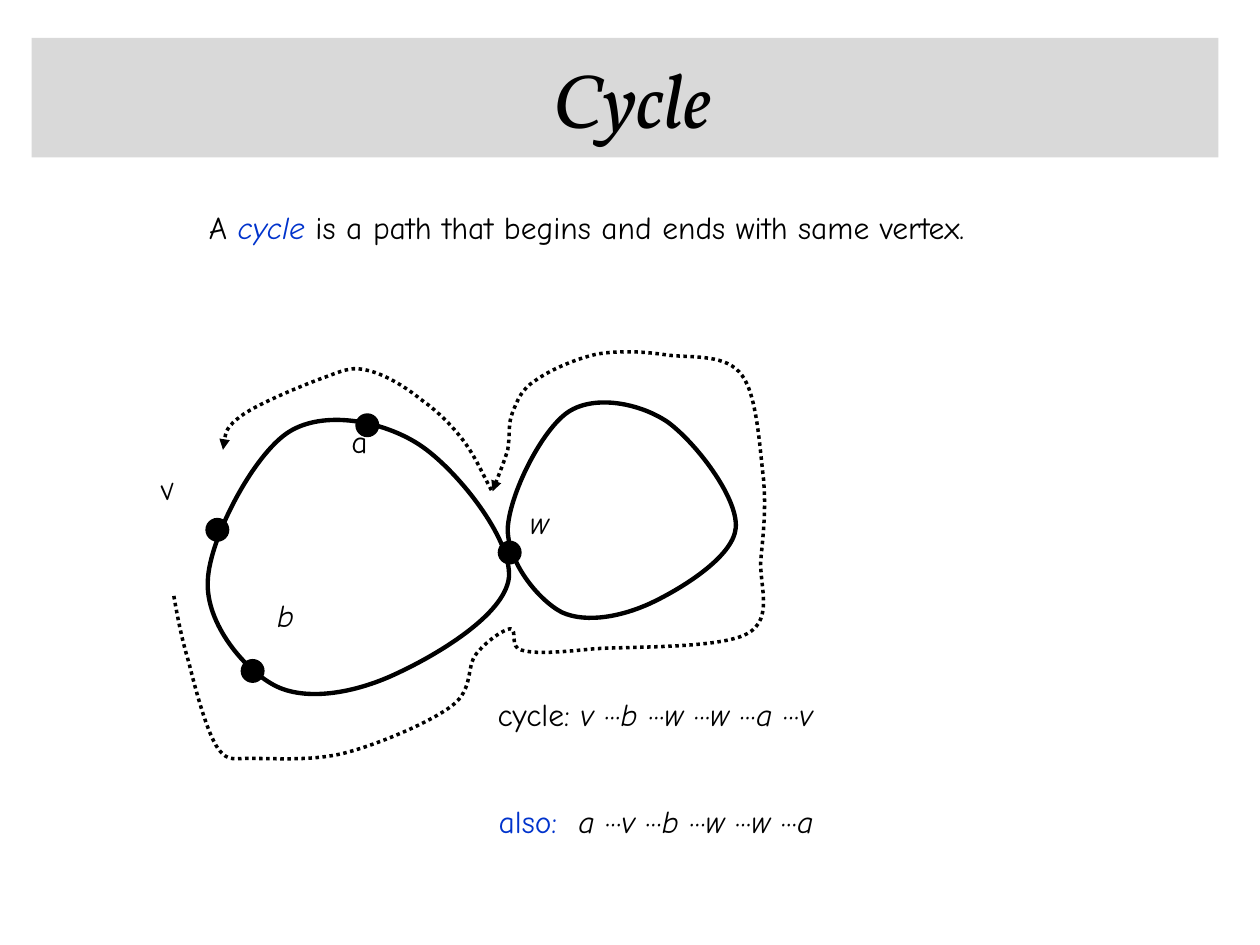
from dataclasses import dataclass

from lxml.etree import SubElement
from pptx import Presentation
from pptx.dml.color import RGBColor
from pptx.enum.dml import MSO_LINE
from pptx.enum.shapes import MSO_SHAPE
from pptx.enum.text import MSO_ANCHOR, PP_ALIGN
from pptx.oxml.ns import qn
from pptx.util import Pt

PX = 9144


@dataclass(frozen=True)
class Theme:
    """Colours, fonts and sizes of the slide."""
    ink: RGBColor = RGBColor(0, 0, 0)
    accent: RGBColor = RGBColor(0x00, 0x33, 0xCC)
    band: RGBColor = RGBColor(0xD9, 0xD9, 0xD9)
    title_font: str = "Vollkorn"
    body_font: str = "Comic Neue"
    title_size: int = 44
    body_size: int = 18
    edge: float = 2.5
    route: float = 2


THEME = Theme()

LOOPS = (
    [(65, 261),
     (66, 228), (101, 161), (129, 143), (157, 125), (204, 134), (233, 153),
     (262, 172), (306, 227), (304, 258), (301, 288), (246, 320), (216, 334),
     (185, 349), (146, 357), (120, 345), (95, 333), (63, 295), (65, 261)],
    [(303, 220),
     (304, 193), (330, 141), (351, 127), (372, 113), (408, 120), (430, 135),
     (452, 151), (486, 195), (484, 219), (482, 242), (441, 267), (418, 278),
     (395, 289), (366, 295), (346, 286), (327, 276), (303, 246), (303, 220)],
)
ROUTES = (
    [(290, 189),
     (283, 176), (277, 162), (268, 150), (259, 138), (247, 126), (234, 117),
     (222, 107), (205, 97), (192, 94), (180, 91), (175, 93), (159, 99),
     (142, 105), (106, 120), (93, 129), (79, 139), (78, 148), (77, 157)],
    [(38, 273),
     (41, 290), (44, 306), (50, 326), (55, 346), (64, 381), (73, 394),
     (82, 406), (86, 401), (104, 402), (121, 402), (151, 404), (176, 397),
     (202, 390), (242, 373), (259, 360), (276, 347), (270, 329), (278, 319),
     (286, 309), (299, 300), (305, 299), (311, 299), (304, 314), (314, 316),
     (325, 319), (341, 318), (371, 315), (400, 313), (471, 315), (493, 303),
     (515, 291), (502, 263), (504, 243), (506, 222), (508, 204), (506, 180),
     (503, 156), (501, 114), (489, 98), (477, 81), (451, 84), (431, 82),
     (412, 79), (392, 78), (374, 81), (356, 85), (336, 94), (325, 102),
     (314, 109), (311, 117), (307, 127), (303, 136), (305, 146), (303, 157),
     (300, 167), (295, 179), (291, 190)],
)
DOT = 19
DOTS = ((295, 229), (63, 211), (182, 128), (91, 323))
LABELS = (
    ("w", (311, 194, 37, 40), True, 0),
    ("v", (17, 167, 32, 40), True, -13.5),
    ("a", (169, 130, 33, 40), False, 0),
    ("b", (110, 268, 35, 40), True, 0),
)


def emu(*lengths):
    """Turn px lengths into EMU."""
    return [n * PX for n in lengths]


def add_text(slide, box, runs, wrap=True):
    """Add one line of text made of (text, colour, italic) runs."""
    sp = slide.shapes.add_textbox(*emu(*box))
    tf = sp.text_frame
    tf.word_wrap = wrap
    p = tf.paragraphs[0]
    p.font.name = THEME.body_font
    p.font.size = Pt(THEME.body_size)
    for text, color, italic in runs:
        r = p.add_run()
        r.text = text
        r.font.color.rgb = color
        r.font.italic = italic
    return sp


def add_block(slide, kind, box, color):
    """Add a flat filled shape without an outline."""
    sp = slide.shapes.add_shape(kind, *emu(*box))
    sp.shadow.inherit = False
    sp.fill.solid()
    sp.fill.fore_color.rgb = color
    sp.line.fill.background()
    return sp


def add_curve(slide, origin, points, width, closed):
    """Add a cubic curve: a start point, then two controls and an end each time."""
    left, top = origin
    start, *rest = [(left + x, top + y) for x, y in points]
    builder = slide.shapes.build_freeform(*start, scale=PX)
    builder.add_line_segments(rest, close=closed)
    sp = builder.convert_to_shape()
    lines = list(sp.element.iter(qn("a:lnTo")))
    for first, *others in zip(*[iter(lines)] * 3):
        first.tag = qn("a:cubicBezTo")
        for line in others:
            first.append(line[0])
            line.getparent().remove(line)
    sp.shadow.inherit = False
    sp.fill.background()
    sp.line.color.rgb = THEME.ink
    sp.line.width = Pt(width)
    return sp


def add_route(slide, origin, points):
    """Add a dotted curve with an arrowhead at its end."""
    sp = add_curve(slide, origin, points, THEME.route, False)
    sp.line.dash_style = MSO_LINE.ROUND_DOT
    SubElement(sp.line._get_or_add_ln(), qn("a:tailEnd"), type="triangle")


def add_title(slide, box, text):
    """Add the title band."""
    sp = add_block(slide, MSO_SHAPE.RECTANGLE, box, THEME.band)
    tf = sp.text_frame
    tf.margin_left = 22 * PX
    tf.vertical_anchor = MSO_ANCHOR.MIDDLE
    p = tf.paragraphs[0]
    p.text = text
    p.alignment = PP_ALIGN.CENTER
    p.font.name = THEME.title_font
    p.font.size = Pt(THEME.title_size)
    p.font.italic = True
    p.font.color.rgb = THEME.ink


def add_definition(slide, box):
    """Add the definition of a cycle."""
    add_text(slide, box, [
        ("A ", THEME.ink, False),
        ("cycle", THEME.accent, True),
        (" is a path that begins and ends with same vertex.", THEME.ink, False),
    ])


def add_graph(slide, origin):
    """Add the two loops, their vertices and the dotted routes."""
    left, top = origin
    for points in LOOPS:
        add_curve(slide, origin, points, THEME.edge, True)
    for text, (x, y, w, h), italic, angle in LABELS:
        run = (text, THEME.ink, italic)
        sp = add_text(slide, (left + x, top + y, w, h), [run], wrap=False)
        sp.rotation = angle
    for x, y in DOTS:
        add_block(slide, MSO_SHAPE.OVAL, (left + x, top + y, DOT, DOT), THEME.ink)
    for points in ROUTES:
        add_route(slide, origin, points)


def add_walk(slide, box, heading, color, vertices):
    """Add a heading and its vertices joined by dots."""
    runs = [(heading, color, False)]
    for vertex in vertices[:-1]:
        runs += [(f"{vertex} ", THEME.ink, True), ("···", THEME.ink, False)]
    add_text(slide, box, runs + [(vertices[-1], THEME.ink, True)])


def main():
    """Build the slide and save it."""
    prs = Presentation()
    prs.slide_width, prs.slide_height = emu(1000, 750)
    slide = prs.slides.add_slide(prs.slide_layouts[6])
    add_title(slide, (25, 30, 942, 95), "Cycle")
    add_definition(slide, (156, 160, 683, 40))
    add_graph(slide, (100, 200))
    add_walk(slide, (385, 547, 312, 40), "cycle: ", THEME.ink, "vbwwav")
    add_walk(slide, (386, 632, 306, 40), "also:  ", THEME.accent, "avbwwa")
    prs.save("out.pptx")


if __name__ == "__main__":
    main()
